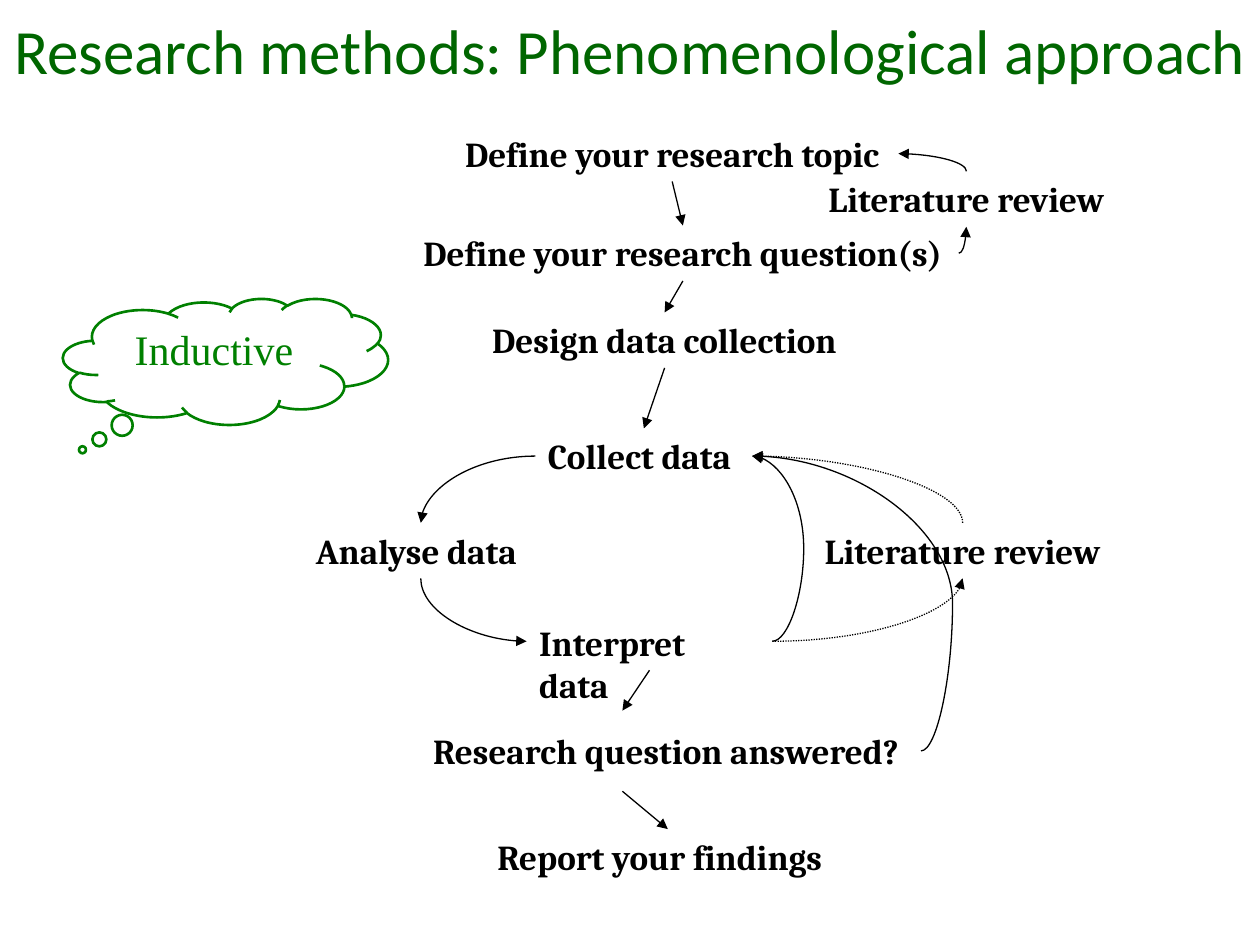
from dataclasses import dataclass

from lxml import etree
from pptx import Presentation
from pptx.dml.color import RGBColor
from pptx.enum.dml import MSO_LINE
from pptx.enum.shapes import MSO_CONNECTOR, MSO_SHAPE
from pptx.enum.text import MSO_ANCHOR, MSO_AUTO_SIZE, PP_ALIGN
from pptx.oxml.ns import qn
from pptx.util import Inches, Pt

STRAIGHT, CURVE = MSO_CONNECTOR.STRAIGHT, MSO_CONNECTOR.CURVE
CLOUD, DOTTED = MSO_SHAPE.CLOUD_CALLOUT, MSO_LINE.ROUND_DOT
TOP_ANCHOR, MIDDLE_ANCHOR = MSO_ANCHOR.TOP, MSO_ANCHOR.MIDDLE
FIXED, GROW = MSO_AUTO_SIZE.NONE, MSO_AUTO_SIZE.SHAPE_TO_FIT_TEXT
LEFT_ALIGN, CENTER = PP_ALIGN.LEFT, PP_ALIGN.CENTER
TOP, BOTTOM = 0, 2
STEP_HEIGHT = 0.44
LOOP_BULGE = 0.25


@dataclass(frozen=True)
class Theme:
    """Colours, line widths and type styles of the slide."""
    ink = RGBColor(0x00, 0x00, 0x00)
    green = RGBColor(0x00, 0x80, 0x00)
    arrow_width = Pt(0.75)
    cloud_width = Pt(1.5)
    title = {"name": "Calibri", "size": Pt(36), "color": RGBColor(0x00, 0x66, 0x00)}
    step = {"name": "Cambria", "size": Pt(20), "bold": True, "color": ink}
    cloud = {"name": "Times New Roman", "size": Pt(24), "color": green}


class Diagram:
    """Draws the elements of a flow diagram on one slide."""

    def __init__(self, slide, theme):
        self.slide, self.theme = slide, theme

    def label(self, shape, text, style, align, frame_format):
        """Put one formatted paragraph into a shape."""
        for key, value in frame_format.items():
            setattr(shape.text_frame, key, value)
        paragraph = shape.text_frame.paragraphs[0]
        paragraph.alignment = align
        run = paragraph.add_run()
        run.text = text
        for key, value in style.items():
            if key == "color":
                run.font.color.rgb = value
            else:
                setattr(run.font, key, value)

    def title(self, text, left, top, width, height):
        """Place and fill the title placeholder."""
        heading = self.slide.shapes.title
        place = {"left": left, "top": top, "width": width, "height": height}
        for key, value in place.items():
            setattr(heading, key, Inches(value))
        self.label(heading, text, self.theme.title, CENTER,
                   {"auto_size": FIXED, "vertical_anchor": MIDDLE_ANCHOR})

    def step(self, text, left, top, width, align=CENTER, wrap=False):
        """Add one step of the research process."""
        box = self.slide.shapes.add_textbox(
            *map(Inches, (left, top, width, STEP_HEIGHT)))
        self.label(box, text, self.theme.step, align,
                   {"word_wrap": wrap, "auto_size": FIXED if wrap else GROW})
        return box

    def cloud(self, text, left, top, width, height, tail):
        """Add an outlined thought cloud."""
        cloud = self.slide.shapes.add_shape(
            CLOUD, *map(Inches, (left, top, width, height)))
        cloud.shadow.inherit = False
        cloud.fill.background()
        cloud.line.color.rgb = self.theme.green
        cloud.line.width = self.theme.cloud_width
        for index, value in enumerate(tail):
            cloud.adjustments[index] = value
        self.label(cloud, text, self.theme.cloud, CENTER,
                   {"vertical_anchor": TOP_ANCHOR})

    def connector(self, kind, start, end, dash=None):
        """Add a thin connector with an arrowhead at its end."""
        link = self.slide.shapes.add_connector(kind, *map(Inches, (*start, *end)))
        link.line.color.rgb = self.theme.ink
        link.line.width = self.theme.arrow_width
        if dash:
            link.line.dash_style = dash
        properties = link._element.spPr
        etree.SubElement(properties.find(qn("a:ln")), qn("a:tailEnd"), type="triangle")
        etree.SubElement(properties, qn("a:effectLst"))
        return link

    def arrow(self, start, end, source=None, target=None):
        """Add a straight arrow, joined to the steps it touches."""
        link = self.connector(STRAIGHT, start, end)
        if source:
            link.begin_connect(source, BOTTOM)
        if target:
            link.end_connect(target, TOP)

    def bend(self, start, end, upright=False, dash=None):
        """Add a quarter curve that leaves sideways, or upright if asked."""
        if upright:
            (x0, y0), (x1, y1) = start, end
            mid_x, mid_y = (x0 + x1) / 2, (y0 + y1) / 2
            half_x, half_y = (x1 - x0) / 2, (y1 - y0) / 2
            start = mid_x + half_y, mid_y - half_x
            end = mid_x - half_y, mid_y + half_x
        link = self.connector(CURVE, start, end, dash)
        properties = link._element.spPr
        properties.find(qn("a:prstGeom")).set("prst", "curvedConnector2")
        if upright:
            properties.find(qn("a:xfrm")).set("rot", str(270 * 60000))

    def loop(self, start, end):
        """Add a curve that bulges out to the right and returns."""
        link = self.connector(CURVE, start, end)
        ratio = LOOP_BULGE / (end[0] - start[0])
        geometry = link._element.spPr.find(qn("a:prstGeom"))
        guides = geometry.find(qn("a:avLst"))
        if guides is None:
            guides = etree.SubElement(geometry, qn("a:avLst"))
        etree.SubElement(guides, qn("a:gd"), name="adj1",
                         fmla=f"val {round(ratio * 100000)}")


def main():
    """Build the slide and save it."""
    deck = Presentation()
    deck.slide_width, deck.slide_height = Inches(10), Inches(7.5)
    diagram = Diagram(deck.slides.add_slide(deck.slide_layouts[5]), Theme())
    diagram.title("Research methods: Phenomenological approach", 0, 0.01, 10, 0.76)

    topic = diagram.step("Define your research topic", 3.54, 1, 3.59)
    question = diagram.step("Define your research question(s)", 3.23, 1.79, 4.38)
    design = diagram.step("Design data collection", 3.75, 2.48, 3.05)
    collect = diagram.step("Collect data", 4.25, 3.4, 1.72, LEFT_ALIGN)
    diagram.step("Analyse data", 2.41, 4.15, 1.86, LEFT_ALIGN)
    interpret = diagram.step("Interpret data", 4.18, 4.88, 1.95, LEFT_ALIGN, wrap=True)
    diagram.step("Research question answered?", 3.34, 5.74, 3.97, LEFT_ALIGN)
    report = diagram.step("Report your findings", 3.85, 6.58, 2.9, LEFT_ALIGN)
    for left, top in ((6.47, 1.36), (6.44, 4.15)):
        diagram.step("Literature review", left, top, 2.4)

    diagram.arrow((5.34, 1.44), (5.42, 1.79), topic, question)
    diagram.arrow((5.42, 2.23), (5.28, 2.48), question, design)
    diagram.arrow((5.28, 2.91), (5.11, 3.4), design, collect)
    diagram.arrow((5.15, 5.31), (4.94, 5.64), source=interpret)
    diagram.arrow((4.94, 6.28), (5.29, 6.58), target=report)

    collect_right, interpret_right = (5.97, 3.62), (6.13, 5.09)
    diagram.bend((7.61, 2.01), (7.67, 1.8))
    diagram.bend((7.67, 1.36), (7.13, 1.22), upright=True)
    diagram.bend((4.25, 3.62), (3.34, 4.15))
    diagram.bend((3.34, 4.59), (4.18, 5.09), upright=True)
    diagram.bend(interpret_right, (7.64, 4.59), dash=DOTTED)
    diagram.bend((7.64, 4.15), collect_right, upright=True, dash=DOTTED)
    for start in (interpret_right, (7.31, 5.96)):
        diagram.loop(start, collect_right)

    diagram.cloud("Inductive", 0.5, 2.37, 2.58, 1, (-0.44, 0.7))
    deck.save("out.pptx")


if __name__ == "__main__":
    main()
